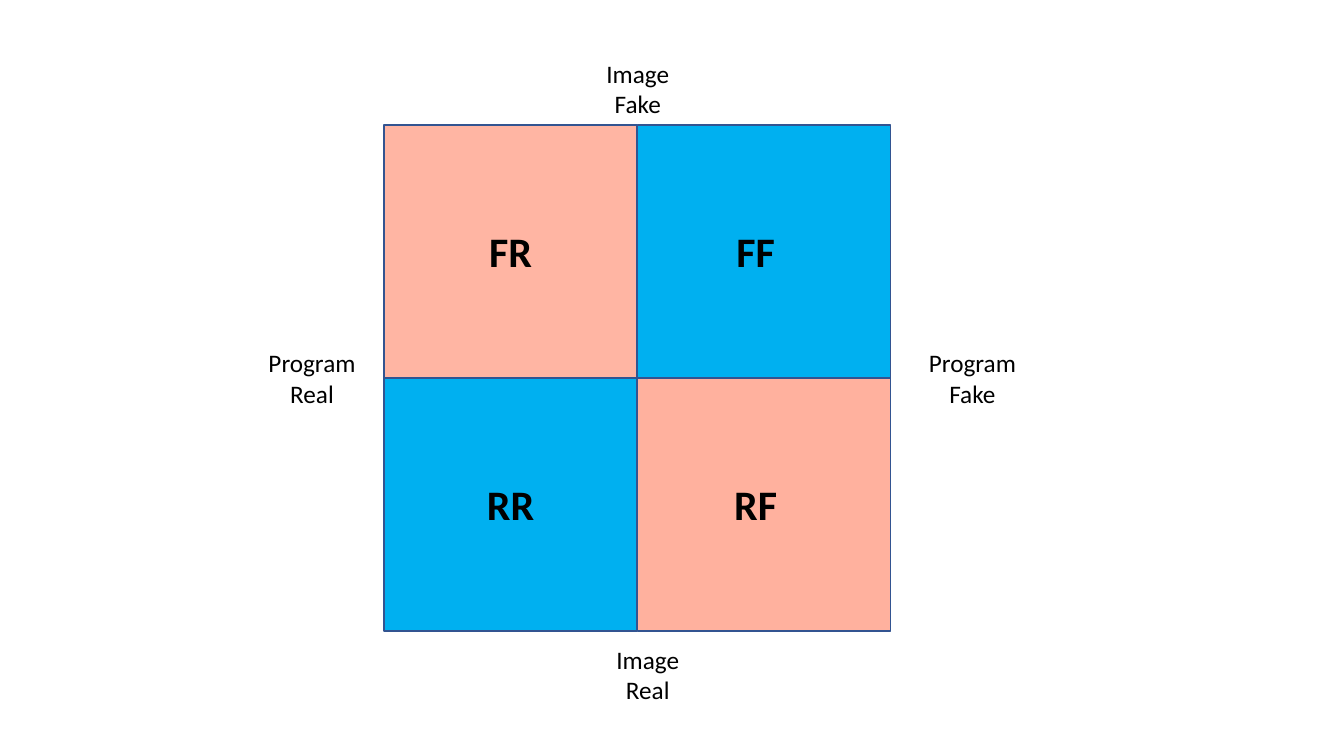
from lxml import etree
from pptx import Presentation
from pptx.dml.color import RGBColor
from pptx.enum.shapes import MSO_SHAPE
from pptx.enum.text import MSO_AUTO_SIZE, PP_ALIGN
from pptx.oxml.ns import qn
from pptx.util import Inches, Pt

RECTANGLE = MSO_SHAPE.RECTANGLE
CENTER = PP_ALIGN.CENTER
FIT_SHAPE = MSO_AUTO_SIZE.SHAPE_TO_FIT_TEXT

FONT = "Calibri"
COLORS = {"match": "00B0F0", "mismatch": "FF3300", "border": "325491", "text": "000000"}

# Content: quadrants as (text, column, row, fill, opacity in percent)
QUADRANTS = [
    ("RR", 0, 1, "match", 100),
    ("RF", 1, 1, "mismatch", 38),
    ("FF", 1, 0, "match", 100),
    ("FR", 0, 0, "mismatch", 36),
]
# Axis labels as (text, left, top)
AXIS_LABELS = [
    ("Program Fake", 9.11, 3.4),
    ("Program Real", 2.56, 3.4),
    ("Image Fake", 5.79, 0.53),
    ("Image Real", 5.89, 6.34),
]

# Layout in inches
GRID_LEFT, GRID_TOP, CELL = 3.81, 1.24, 2.51
LABEL_WIDTH = 1.07
CODE_LEFTS = (4.53, 6.96)
CODE_OFFSET = 0.95

presentation = Presentation()
presentation.slide_width = Inches(13.33)
presentation.slide_height = Inches(7.5)
slide = presentation.slides.add_slide(presentation.slide_layouts[6])


def color(name):
    return RGBColor.from_string(COLORS[name])


def add_label(text, left, top, height, size, bold=False):
    box = slide.shapes.add_textbox(
        Inches(left), Inches(top), Inches(LABEL_WIDTH), Inches(height))
    frame = box.text_frame
    frame.word_wrap = True
    frame.auto_size = FIT_SHAPE
    paragraph = frame.paragraphs[0]
    paragraph.text = text
    paragraph.alignment = CENTER
    font = paragraph.font
    font.name, font.size, font.bold = FONT, Pt(size), bold
    font.color.rgb = color("text")


def add_quadrant(column, row, fill, opacity):
    shape = slide.shapes.add_shape(
        RECTANGLE, Inches(GRID_LEFT + column * CELL), Inches(GRID_TOP + row * CELL),
        Inches(CELL), Inches(CELL))
    shape.shadow.inherit = False
    shape.fill.solid()
    shape.fill.fore_color.rgb = color(fill)
    shape.line.color.rgb = color("border")
    shape.line.width = Pt(1)
    if opacity < 100:
        fill_color = shape.fill._xPr.find(qn("a:solidFill"))[0]
        etree.SubElement(fill_color, qn("a:alpha"), val=str(opacity * 1000))


# Axis labels around the grid
for text, left, top in AXIS_LABELS:
    add_label(text, left, top, 0.71, 18)

# Quadrants, then their codes on top
for text, column, row, fill, opacity in QUADRANTS:
    add_quadrant(column, row, fill, opacity)
for text, column, row, fill, opacity in QUADRANTS:
    add_label(text, CODE_LEFTS[column], GRID_TOP + row * CELL + CODE_OFFSET, 0.61, 30, True)

presentation.save("out.pptx")
